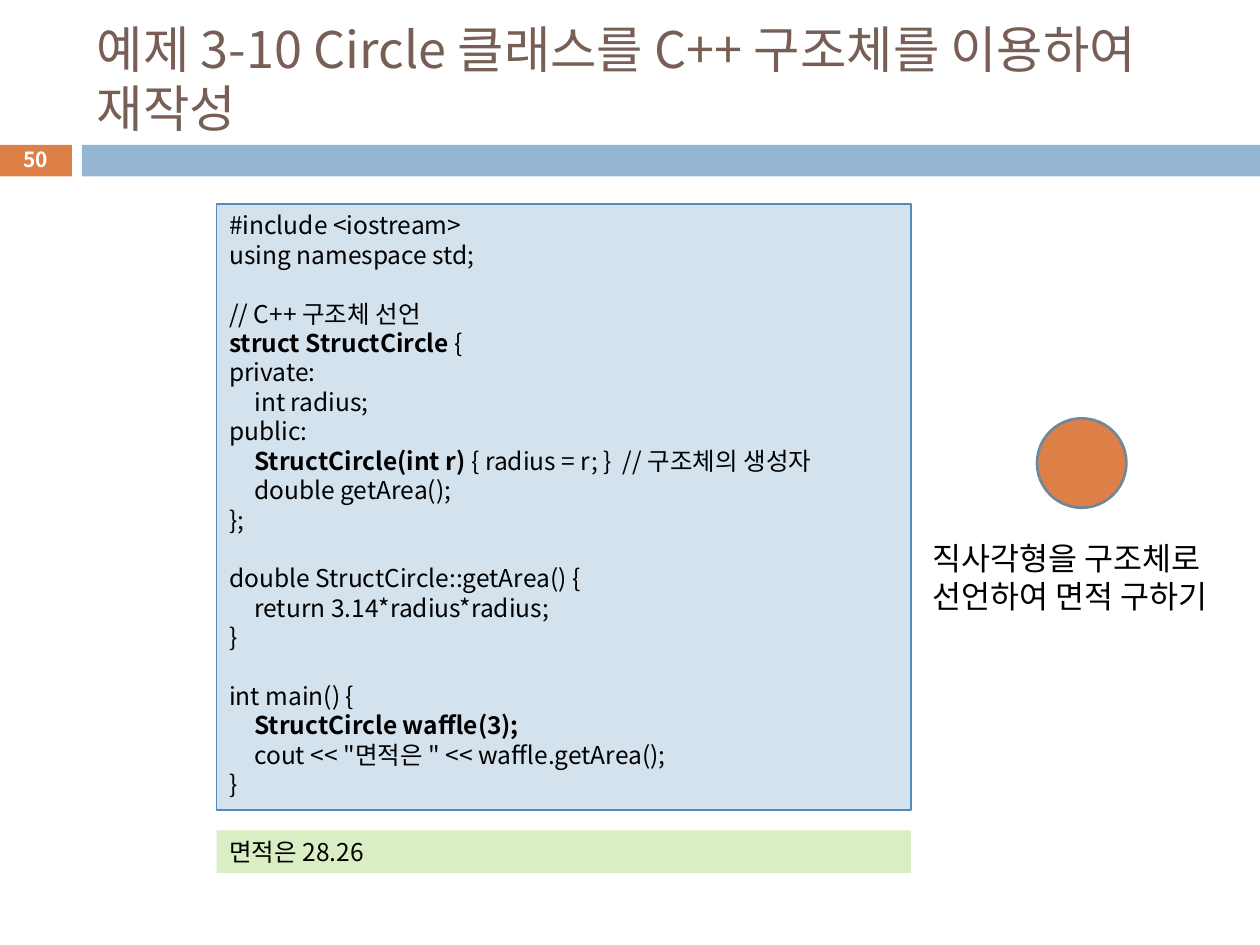
from dataclasses import dataclass
from typing import Optional

import pptx
import pptx.dml.color
import pptx.enum.shapes
import pptx.enum.text
import pptx.oxml.ns
import pptx.util
from lxml import etree
from pptx.dml.color import RGBColor
from pptx.util import Inches, Pt

FONT = "Noto Sans CJK KR"
BLACK = RGBColor(0x00, 0x00, 0x00)
WHITE = RGBColor(0xFF, 0xFF, 0xFF)
BROWN = RGBColor(0x77, 0x5F, 0x55)
ORANGE = RGBColor(0xDD, 0x80, 0x47)
BLUE = RGBColor(0x94, 0xB6, 0xD2)
PALE_BLUE = RGBColor(0xD4, 0xE2, 0xED)
CODE_EDGE = RGBColor(0x55, 0x8B, 0xB8)
PALE_GREEN = RGBColor(0xDA, 0xEE, 0xC4)
CIRCLE_EDGE = RGBColor(0x6D, 0x87, 0x9B)

SHAPE = pptx.enum.shapes.MSO_SHAPE
ANCHOR = pptx.enum.text.MSO_ANCHOR
ALIGN = pptx.enum.text.PP_ALIGN

BOLD_MARK = "**"
TAB_STOP = Inches(0.2)
CODE = """#include <iostream>
using namespace std;

// C++ 구조체 선언
**struct StructCircle **{
private:
\tint radius;
public:
\t**StructCircle(int r)** { radius = r; }  // 구조체의 생성자
\tdouble getArea();
};

double StructCircle::getArea() {
\treturn 3.14*radius*radius;
}

int main() {
\t**StructCircle waffle(3);**
\tcout << "면적은 " << waffle.getArea();
}"""


@dataclass
class Style:
    size: float
    pitch: float
    color: RGBColor = BLACK
    bold: Optional[bool] = None
    align: ALIGN = ALIGN.LEFT
    anchor: ANCHOR = ANCHOR.TOP


@dataclass
class Item:
    left: float
    top: float
    width: float
    height: float
    kind: Optional[SHAPE] = None
    fill: Optional[RGBColor] = None
    edge: Optional[RGBColor] = None
    edge_width: float = 0.75
    text: str = ""
    style: Optional[Style] = None


CODE_STYLE = Style(14, 16.8)
TITLE_STYLE = Style(28.8, 34, BROWN, anchor=ANCHOR.MIDDLE)
NUMBER_STYLE = Style(11.9, 14.3, WHITE, True, ALIGN.CENTER, ANCHOR.MIDDLE)

ITEMS = [
    Item(-0.01, 1.15, 0.58, 0.25, SHAPE.RECTANGLE, ORANGE),
    Item(0.65, 1.15, 9.35, 0.25, SHAPE.RECTANGLE, BLUE),
    Item(0.67, 0.25, 8.92, 0.74, style=TITLE_STYLE,
         text="예제 3-10 Circle 클래스를 C++ 구조체를 이용하여 재작성"),
    Item(-0.01, 1.13, 0.58, 0.27, text="50", style=NUMBER_STYLE),
    Item(1.72, 1.62, 5.51, 4.81, SHAPE.RECTANGLE, PALE_BLUE, CODE_EDGE,
         text=CODE, style=CODE_STYLE),
    Item(1.72, 6.59, 5.51, 0.34, SHAPE.RECTANGLE, PALE_GREEN,
         text="면적은 28.26", style=CODE_STYLE),
    Item(8.23, 3.32, 0.71, 0.71, SHAPE.OVAL, ORANGE, CIRCLE_EDGE, 1.5),
    Item(7.3, 4.22, 2.74, 0.71, style=Style(18, 22),
         text="직사각형을 구조체로\n선언하여 면적 구하기"),
]


def add_tab_stop(para) -> None:
    properties = para._p.get_or_add_pPr()
    tabs = etree.SubElement(properties, pptx.oxml.ns.qn("a:tabLst"))
    etree.SubElement(tabs, pptx.oxml.ns.qn("a:tab"), pos=str(TAB_STOP), algn="l")


def set_font(font, style: Style) -> None:
    font.name = FONT
    font.size = Pt(style.size)
    font.bold = style.bold
    font.color.rgb = style.color


def write_text(frame, text: str, style: Style) -> None:
    """Write one paragraph a line; text between bold marks is bold."""
    frame.word_wrap = True
    frame.vertical_anchor = style.anchor
    for index, line in enumerate(text.split("\n")):
        para = frame.add_paragraph() if index else frame.paragraphs[0]
        para.alignment = style.align
        para.line_spacing = Pt(style.pitch)
        if "\t" in line:
            add_tab_stop(para)
        set_font(para.font, style)
        for number, part in enumerate(line.split(BOLD_MARK)):
            if not part:
                continue
            span = para.add_run()
            span.text = part
            set_font(span.font, style)
            if number % 2:
                span.font.bold = True
            east_asian = etree.SubElement(span.font._element, pptx.oxml.ns.qn("a:ea"))
            east_asian.set("typeface", FONT)


def draw(page, item: Item) -> None:
    place = [Inches(v) for v in (item.left, item.top, item.width, item.height)]
    if item.kind is None:
        box = page.shapes.add_textbox(*place)
    else:
        box = page.shapes.add_shape(item.kind, *place)
        box.shadow.inherit = False
        box.fill.solid()
        box.fill.fore_color.rgb = item.fill
        if item.edge is None:
            box.line.fill.background()
        else:
            box.line.color.rgb = item.edge
            box.line.width = Pt(item.edge_width)
    if item.style:
        write_text(box.text_frame, item.text, item.style)


def main() -> None:
    deck = pptx.Presentation()
    deck.slide_width, deck.slide_height = Inches(10), Inches(7.5)
    page = deck.slides.add_slide(deck.slide_layouts[6])
    for item in ITEMS:
        draw(page, item)
    deck.save("out.pptx")


if __name__ == "__main__":
    main()
